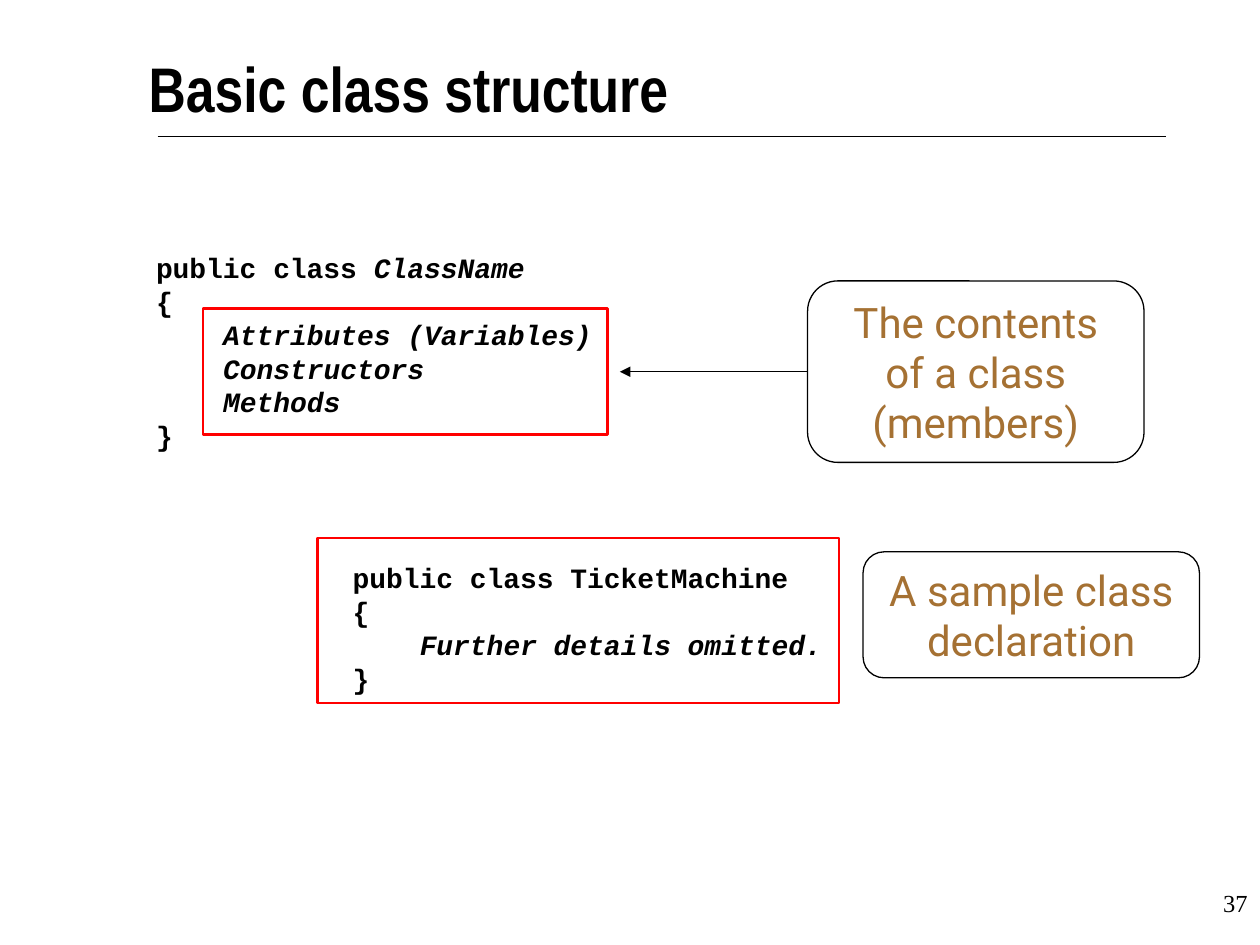
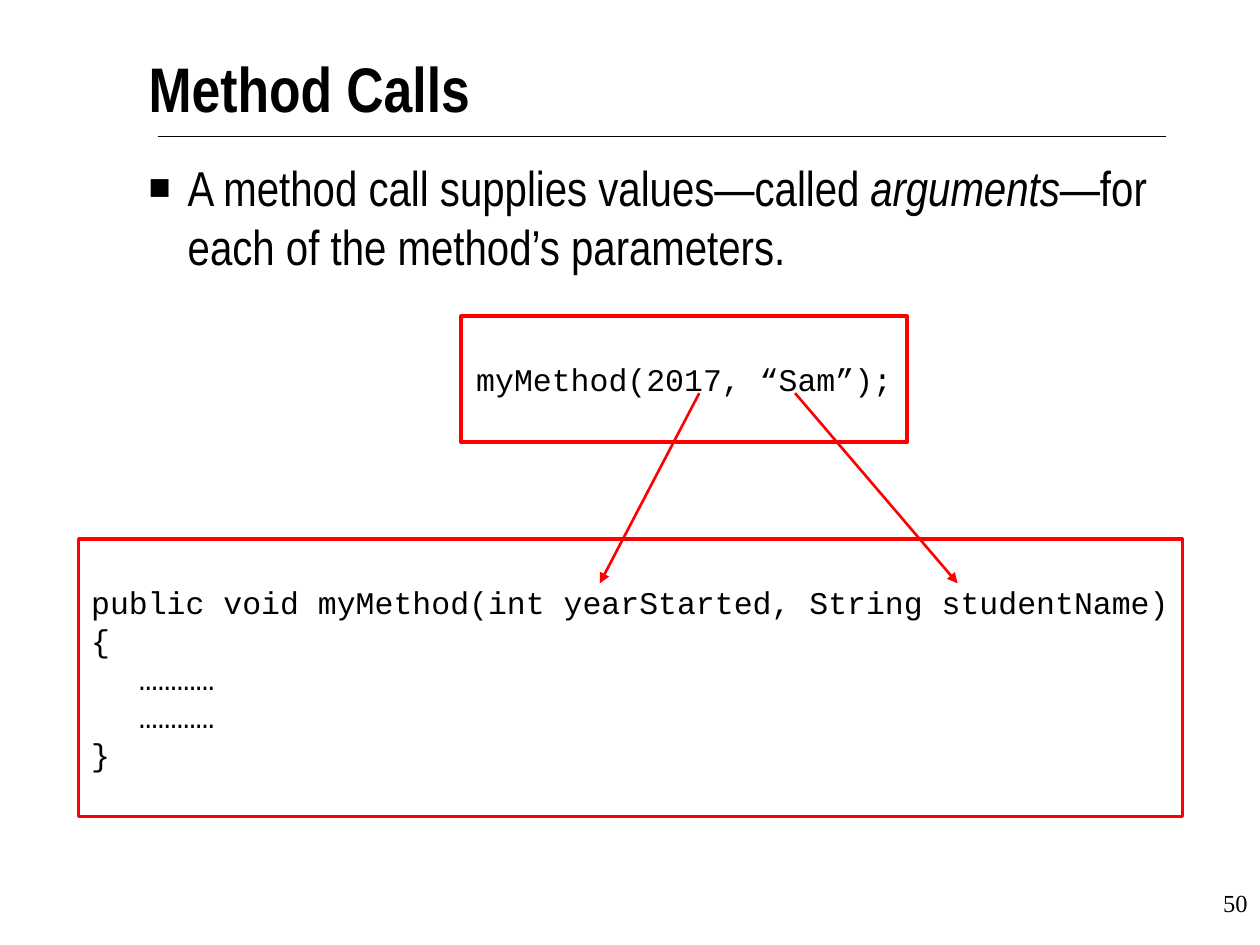
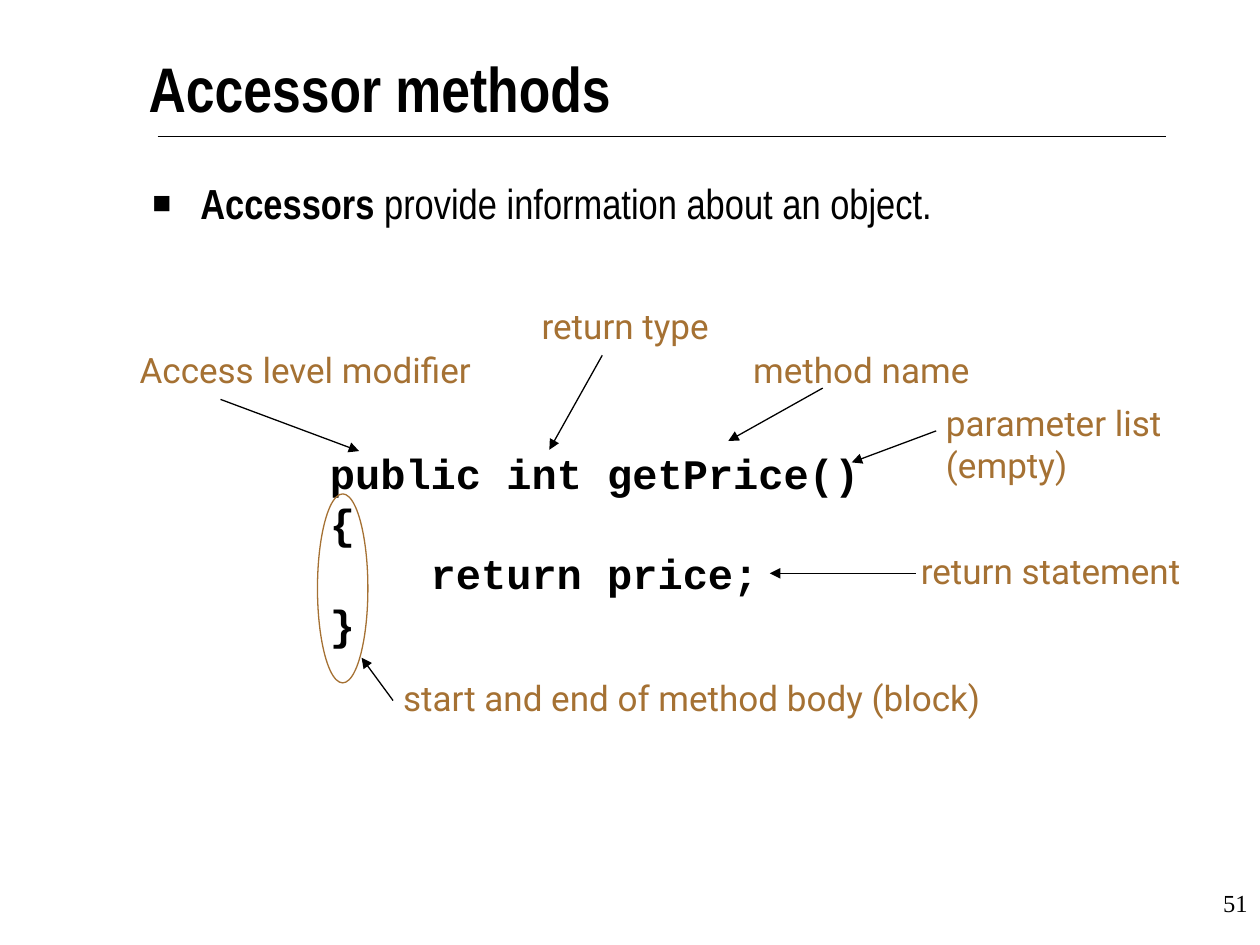
import dataclasses
import typing

import lxml.etree
import pptx
import pptx.dml.color
import pptx.enum.shapes
import pptx.enum.text
import pptx.oxml.ns
import pptx.util

Align = pptx.enum.text.PP_ALIGN
Kind = pptx.enum.shapes.MSO_SHAPE
COLS, ROWS = 100, 75
WIDE, HIGH = pptx.util.Inches(10), pptx.util.Inches(7.5)


@dataclasses.dataclass(frozen=True)
class Face:
    font: str
    size: int
    color: str


@dataclasses.dataclass(frozen=True)
class Theme:
    ink: str = "000000"
    red: str = "FF0000"
    tan: str = "A57133"
    white: str = "FFFFFF"
    thin: float = 0.75
    mid: float = 1.5
    thick: float = 2
    title: Face = Face("Arial Narrow", 36, ink)
    lead: Face = Face("Arial Narrow", 28, ink)
    point: Face = Face("Arial Narrow", 24, ink)
    page: Face = Face("Times New Roman", 14, ink)
    small: Face = Face("Courier New", 16, ink)
    code: Face = Face("Courier New", 18, ink)
    large: Face = Face("Courier New", 24, ink)
    call: Face = Face("Roboto", 24, tan)
    note: Face = Face("Roboto", 20, tan)


THEME = Theme()


class Box(typing.NamedTuple):
    col: float
    row: float
    cols: float
    rows: float


class Span(typing.NamedTuple):
    text: str
    bold: bool = False
    slant: bool = False


class Line(typing.NamedTuple):
    spans: tuple[Span, ...]
    depth: float = 0


@dataclasses.dataclass(frozen=True)
class Text:
    box: Box
    lines: tuple[Line, ...]
    face: Face
    align: Align = Align.LEFT
    wrap: bool = True
    pad: tuple[float, float] = (1, 0.5)
    hang: float = 0


@dataclasses.dataclass(frozen=True)
class Shape:
    box: Box
    kind: Kind = Kind.RECTANGLE
    color: str = THEME.red
    width: float = THEME.mid
    fill: str = ""
    text: typing.Optional[Text] = None
    middle: bool = False


@dataclasses.dataclass(frozen=True)
class Rule:
    start: tuple[float, float]
    end: tuple[float, float]
    color: str = THEME.ink
    width: float = THEME.thin
    head: bool = True


@dataclasses.dataclass(frozen=True)
class Page:
    title: str
    number: int
    items: tuple[typing.Union[Text, Shape, Rule], ...]


def across(cols: float) -> int:
    return round(WIDE * cols / COLS)


def down(rows: float) -> int:
    return round(HIGH * rows / ROWS)


def place(box: Box) -> tuple[int, int, int, int]:
    return across(box.col), down(box.row), across(box.cols), down(box.rows)


def tint(color: str) -> pptx.dml.color.RGBColor:
    return pptx.dml.color.RGBColor.from_string(color)


def add(node, tag: str, **keys: str):
    return lxml.etree.SubElement(node, pptx.oxml.ns.qn(tag), **keys)


def bullet(para, hang: float, color: str) -> None:
    props = para._p.get_or_add_pPr()
    props.set("marL", str(across(hang)))
    props.set("indent", str(-across(hang)))
    add(add(props, "a:buClr"), "a:srgbClr", val=color)
    add(props, "a:buSzPct", val="75000")
    add(props, "a:buFont", typeface="Arial")
    add(props, "a:buChar", char="■")


def write(frame, text: Text) -> None:
    side, top = text.pad
    frame.margin_left = frame.margin_right = across(side)
    frame.margin_top = down(top)
    frame.margin_bottom = down(min(top, 0.5))
    frame.word_wrap = text.wrap
    for rank, line in enumerate(text.lines):
        para = frame.add_paragraph() if rank else frame.paragraphs[0]
        para.alignment = text.align
        if text.hang:
            bullet(para, text.hang, text.face.color)
        elif line.depth:
            props = para._p.get_or_add_pPr()
            props.set("marL", str(across(line.depth)))
            props.set("indent", "0")
        for span in line.spans:
            run = para.add_run()
            run.text = span.text
            run.font.name = text.face.font
            run.font.size = pptx.util.Pt(text.face.size)
            run.font.color.rgb = tint(text.face.color)
            run.font.bold = span.bold
            run.font.italic = span.slant


def draw_text(slide, text: Text) -> None:
    write(slide.shapes.add_textbox(*place(text.box)).text_frame, text)


def draw_shape(slide, item: Shape) -> None:
    shape = slide.shapes.add_shape(item.kind, *place(item.box))
    shape.shadow.inherit = False
    if item.fill:
        shape.fill.solid()
        shape.fill.fore_color.rgb = tint(item.fill)
    else:
        shape.fill.background()
    shape.line.color.rgb = tint(item.color)
    shape.line.width = pptx.util.Pt(item.width)
    if item.text:
        anchor = pptx.enum.text.MSO_ANCHOR
        shape.text_frame.vertical_anchor = anchor.MIDDLE if item.middle else anchor.TOP
        write(shape.text_frame, item.text)


def draw_rule(slide, rule: Rule) -> None:
    (left, top), (right, base) = rule.start, rule.end
    line = slide.shapes.add_connector(
        pptx.enum.shapes.MSO_CONNECTOR.STRAIGHT,
        across(left), down(top), across(right), down(base))
    line.line.color.rgb = tint(rule.color)
    line.line.width = pptx.util.Pt(rule.width)
    if rule.head:
        add(line.line._get_or_add_ln(), "a:tailEnd", type="triangle")
    add(line._element.spPr, "a:effectLst")


def plain(*texts: str, bold: bool = False) -> tuple[Line, ...]:
    return tuple(Line((Span(text, bold),)) for text in texts)


def inner(face: Face, text: str, slant: bool = False) -> Line:
    depth = 4 * 0.6 * face.size / 72 * COLS / 10
    return Line((Span(text, True, slant),), depth)


def note(box: Box, text: str, wrap: bool = False) -> Text:
    return Text(box, plain(text), THEME.note, wrap=wrap)


def call(box: Box, text: str) -> Shape:
    body = Text(box, plain(text), THEME.call, Align.CENTER, pad=(1.3, 0.5))
    return Shape(box, Kind.ROUNDED_RECTANGLE, THEME.ink, THEME.thin,
                 text=body, middle=True)


def panel(box: Box, lines: tuple[Line, ...], align: Align = Align.LEFT) -> Shape:
    body = Text(box, lines, THEME.code, align, pad=(1, 3.5))
    return Shape(box, width=THEME.thick, fill=THEME.white, text=body)


def draw_page(deck, page: Page) -> None:
    slide = deck.slides.add_slide(deck.slide_layouts[6])
    draw_rule(slide, Rule((12.5, 10.83), (92.5, 10.83), head=False))
    draw_text(slide, Text(Box(11.8, 3.9, 76.5, 7.5), plain(page.title, bold=True),
                          THEME.title, pad=(0, 0)))
    draw_text(slide, Text(Box(79.2, 70, 20.8, 5), plain(str(page.number)),
                          THEME.page, Align.RIGHT))
    tools = {Text: draw_text, Shape: draw_shape, Rule: draw_rule}
    for item in page.items:
        tools[type(item)](slide, item)


OPEN, CLOSE = plain("{", "}", bold=True)

PAGES = (
    Page("Basic class structure", 37, (
        Text(Box(11.4, 19.4, 36.6, 17), (
            Line((Span("public class ", True), Span("ClassName", True, True))),
            OPEN,
            *(inner(THEME.small, part, True)
              for part in ("Attributes (Variables)", "Constructors", "Methods")),
            CLOSE), THEME.small, wrap=False),
        Rule((64.1, 29.5), (49.2, 29.5)),
        call(Box(64.1, 22.3, 26.7, 14.4), "The contents of a class (members)"),
        Shape(Box(16.1, 24.5, 32.1, 10)),
        Text(Box(27, 44, 40, 11.7), (
            *plain("public class TicketMachine", bold=True),
            OPEN,
            inner(THEME.small, "Further details omitted.", True),
            CLOSE), THEME.small),
        call(Box(68.5, 43.8, 26.7, 10), "A sample class declaration"),
        Shape(Box(25.2, 42.7, 41.4, 13.1)),
    )),
    Page("Method Calls", 50, (
        Text(Box(11.8, 12.5, 82.5, 52.5), (Line((
            Span("A method call supplies values—called "),
            Span("arguments", slant=True),
            Span("—for each of the method’s parameters."))),),
            THEME.lead, pad=(0, 0), hang=3.1),
        panel(Box(6.25, 42.8, 87.6, 22), (
            *plain("public void myMethod(int yearStarted, String studentName)", "{"),
            *(Line((Span("…………"),), 3.8),) * 2,
            *plain("}"))),
        panel(Box(36.6, 25.1, 35.4, 10), plain("myMethod(2017, “Sam”);"), Align.CENTER),
        Rule((55.5, 31.2), (47.6, 46.3), THEME.red, THEME.mid),
        Rule((63.1, 31.2), (76, 46.3), THEME.red, THEME.mid),
    )),
    Page("Accessor methods", 51, (
        Text(Box(25.2, 35, 44, 17), (
            *plain("public int getPrice()", bold=True),
            OPEN,
            inner(THEME.large, "return price;"),
            CLOSE), THEME.large, wrap=False),
        note(Box(42, 23.7, 17.2, 4.4), "return type"),
        note(Box(58.8, 27.2, 20.4, 4.4), "method name"),
        note(Box(74.1, 31.4, 22.6, 7.7), "parameter list (empty)", True),
        Shape(Box(25.2, 39.2, 4, 15), Kind.OVAL, THEME.tan, THEME.thin),
        note(Box(31, 53.2, 49.8, 7.7), "start and end of method body (block)", True),
        note(Box(72.1, 43.1, 24.4, 4.4), "return statement"),
        note(Box(10.1, 27.2, 29.2, 4.4), "Access level modifier"),
        Rule((31.2, 55.6), (28.7, 52.2)),
        Rule((47.8, 28.2), (43.6, 35.7)),
        Rule((65.3, 30.8), (57.8, 35)),
        Rule((74.3, 34.2), (67.6, 36.7)),
        Rule((72.7, 45.5), (61.1, 45.5)),
        Rule((17.5, 31.7), (28.5, 35.8)),
        Text(Box(12.1, 14.1, 87.5, 6.3), (Line((
            Span("Accessors", True),
            Span(" provide information about an object."))),),
            THEME.point, pad=(0, 0), hang=3.8),
    )),
)


def main() -> None:
    deck = pptx.Presentation()
    deck.slide_width, deck.slide_height = WIDE, HIGH
    for page in PAGES:
        draw_page(deck, page)
    deck.save("out.pptx")


if __name__ == "__main__":
    main()
